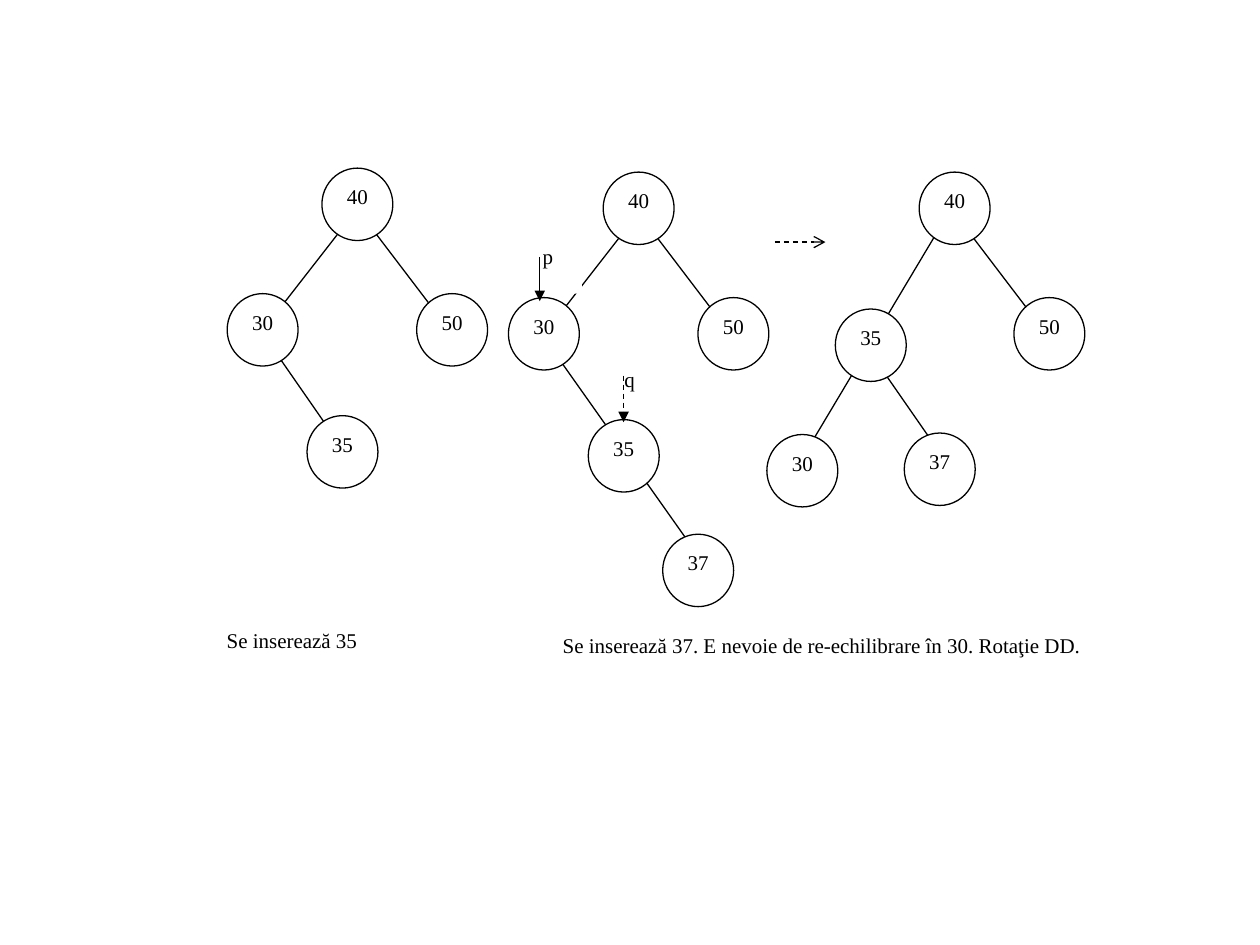
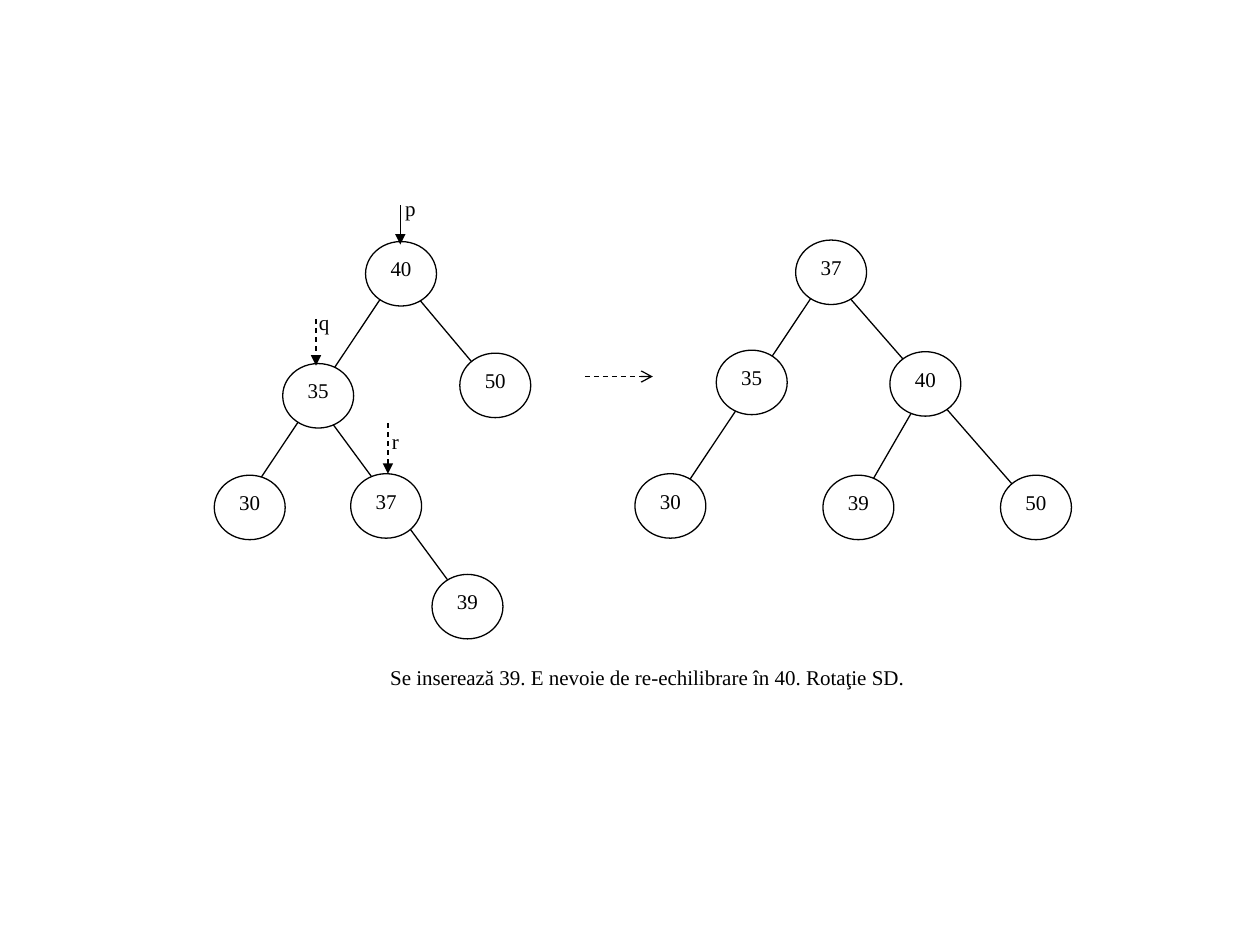
import pptx
import pptx.dml.color
import pptx.enum.dml
import pptx.enum.shapes
import pptx.enum.text
import pptx.oxml
import pptx.oxml.ns
import pptx.util
from pptx.util import Cm

COLORS = {"ink": "000000", "paper": "FFFFFF"}
FONT = "Times New Roman"
ALIGN = pptx.enum.text.PP_ALIGN
SHAPE = pptx.enum.shapes.MSO_SHAPE
NODE_WIDTH = 1.43


def rgb(name):
    return pptx.dml.color.RGBColor.from_string(COLORS[name])


class TreeDeck:
    """Slides of binary trees; every length is in centimetres."""

    def __init__(self):
        self.prs = pptx.Presentation()
        self.prs.slide_width, self.prs.slide_height = Cm(25.4), Cm(19.05)

    def slide(self, node_height):
        self.s = self.prs.slides.add_slide(self.prs.slide_layouts[6])
        self.node_height = node_height

    def shape(self, kind, box, text, align, insets):
        """Add a white shape with top-anchored text; insets are (sides, top)."""
        sp = self.s.shapes.add_shape(kind, *map(Cm, box))
        sp.shadow.inherit = False
        sp.fill.solid()
        sp.fill.fore_color.rgb = rgb("paper")
        sp.line.fill.background()
        tf = sp.text_frame
        tf.word_wrap = True
        tf.vertical_anchor = pptx.enum.text.MSO_ANCHOR.TOP
        side, top = insets
        tf.margin_left = tf.margin_right = Cm(side)
        tf.margin_top, tf.margin_bottom = Cm(top), 0
        p = tf.paragraphs[0]
        p.text = text
        p.alignment = align
        p.font.name, p.font.size = FONT, pptx.util.Pt(12)
        p.font.color.rgb = rgb("ink")
        return sp

    def ink(self, line):
        line.color.rgb = rgb("ink")
        line.width = pptx.util.Pt(0.75)

    def text(self, box, text, align=ALIGN.LEFT, insets=(0.25, 0.13)):
        self.shape(SHAPE.RECTANGLE, box, text, align, insets)

    def node(self, x, y, key):
        box = (x, y, NODE_WIDTH, self.node_height)
        sp = self.shape(SHAPE.OVAL, box, str(key), ALIGN.CENTER, (0, 0.1))
        self.ink(sp.line)

    def line(self, x1, y1, x2, y2, head=None, dashed=False):
        straight = pptx.enum.shapes.MSO_CONNECTOR.STRAIGHT
        c = self.s.shapes.add_connector(straight, *map(Cm, (x1, y1, x2, y2)))
        self.ink(c.line)
        if dashed:
            c.line.dash_style = pptx.enum.dml.MSO_LINE.DASH
        sp_pr = c.element.spPr
        if head:
            ln = sp_pr.find(pptx.oxml.ns.qn("a:ln"))
            tail = pptx.oxml.parse_xml(
                f'<a:tailEnd {pptx.oxml.ns.nsdecls("a")} type="{head}"/>')
            ln.append(tail)
        sp_pr.append(pptx.oxml.parse_xml(
            f'<a:effectLst {pptx.oxml.ns.nsdecls("a")}/>'))

    def pointer(self, x, y1, y2, dashed=True):
        self.line(x, y1, x, y2, "triangle", dashed)

    def step(self, x1, x2, y):
        self.line(x1, y, x2, y, "arrow", True)

    def tree(self, x, y, edges, nodes):
        """Draw edges, then nodes {key: (dx, dy)}, all relative to the root."""
        for x1, y1, x2, y2 in edges:
            self.line(x + x1, y + y1, x + x2, y + y2)
        for key, (dx, dy) in nodes.items():
            self.node(x + dx, y + dy, key)


def right_right_slide(deck):
    deck.slide(node_height=1.46)
    right_edge = (0.76, 0.89, 2.67, 3.4)
    left_edge = (0.76, 0.76, -1.24, 3.33)
    inner_edge = (-1.22, 3.3, 0.46, 5.72)
    top = {50: (1.91, 2.53), 40: (0, 0)}
    start = {**top, 35: (-0.3, 4.99), 30: (-1.91, 2.53)}

    deck.tree(6.49, 3.39, [right_edge, inner_edge, left_edge], start)
    deck.text((4.32, 12.52, 4.45, 1.37), "Se inserează 35", ALIGN.JUSTIFY)
    deck.text((10.92, 12.62, 11.3, 1.75),
              "Se inserează 37. E nevoie de re-echilibrare în 30. Rotaţie DD.",
              ALIGN.CENTER)
    deck.tree(12.16, 3.47,
              [right_edge, (-1.22, 3.3, 2.21, 8.15), left_edge],
              {**start, 37: (1.2, 7.3)})
    deck.tree(18.53, 3.47,
              [right_edge, inner_edge, (0.63, 0.76, -2.51, 6.02)],
              {**top, 37: (-0.3, 5.26), 35: (-1.69, 2.76), 30: (-3.07, 5.29)})
    deck.step(15.62, 16.64, 4.88)
    deck.text((10.69, 4.78, 1.04, 1.14), "p")
    deck.pointer(10.88, 5.18, 6.07, dashed=False)
    deck.text((12.34, 7.26, 1.04, 1.14), "q")
    deck.pointer(12.57, 7.57, 8.51)


def left_right_slide(deck):
    deck.slide(node_height=1.3)
    deck.text((7.92, 3.81, 1.04, 1.02), "p")
    deck.tree(7.37, 4.87,
              [(0.74, 0.76, 2.64, 3.02), (-1.22, 2.92, 2.11, 7.44),
               (0.63, 0.66, -2.49, 5.33)],
              {50: (1.9, 2.25), 37: (-0.3, 4.68), 35: (-1.67, 2.46),
               40: (0, 0), 30: (-3.05, 4.71), 39: (1.34, 6.71)})
    deck.text((6.43, 6.25, 0.36, 1.02), "q", insets=(0, 0))
    deck.pointer(6.37, 6.43, 7.37)
    deck.pointer(8.07, 4.14, 4.93, dashed=False)
    deck.text((7.65, 8.51, 1.04, 1.02), "r")
    deck.pointer(7.82, 8.53, 9.55)
    deck.tree(16.04, 4.84,
              [(2.64, 2.95, 1.22, 5.41), (0.76, 0.79, 4.95, 5.59),
               (0.63, 0.69, -2.49, 5.36)],
              {40: (1.9, 2.25), 39: (0.55, 4.74), 35: (-1.6, 2.22),
               37: (0, 0), 30: (-3.24, 4.71), 50: (4.13, 4.74)})
    deck.step(11.79, 13.16, 7.59)
    deck.text((7.44, 13.26, 11.23, 1.55),
              "Se inserează 39. E nevoie de re-echilibrare în 40. Rotaţie SD.",
              ALIGN.CENTER)


def main():
    deck = TreeDeck()
    right_right_slide(deck)
    left_right_slide(deck)
    deck.prs.save("out.pptx")


if __name__ == "__main__":
    main()
